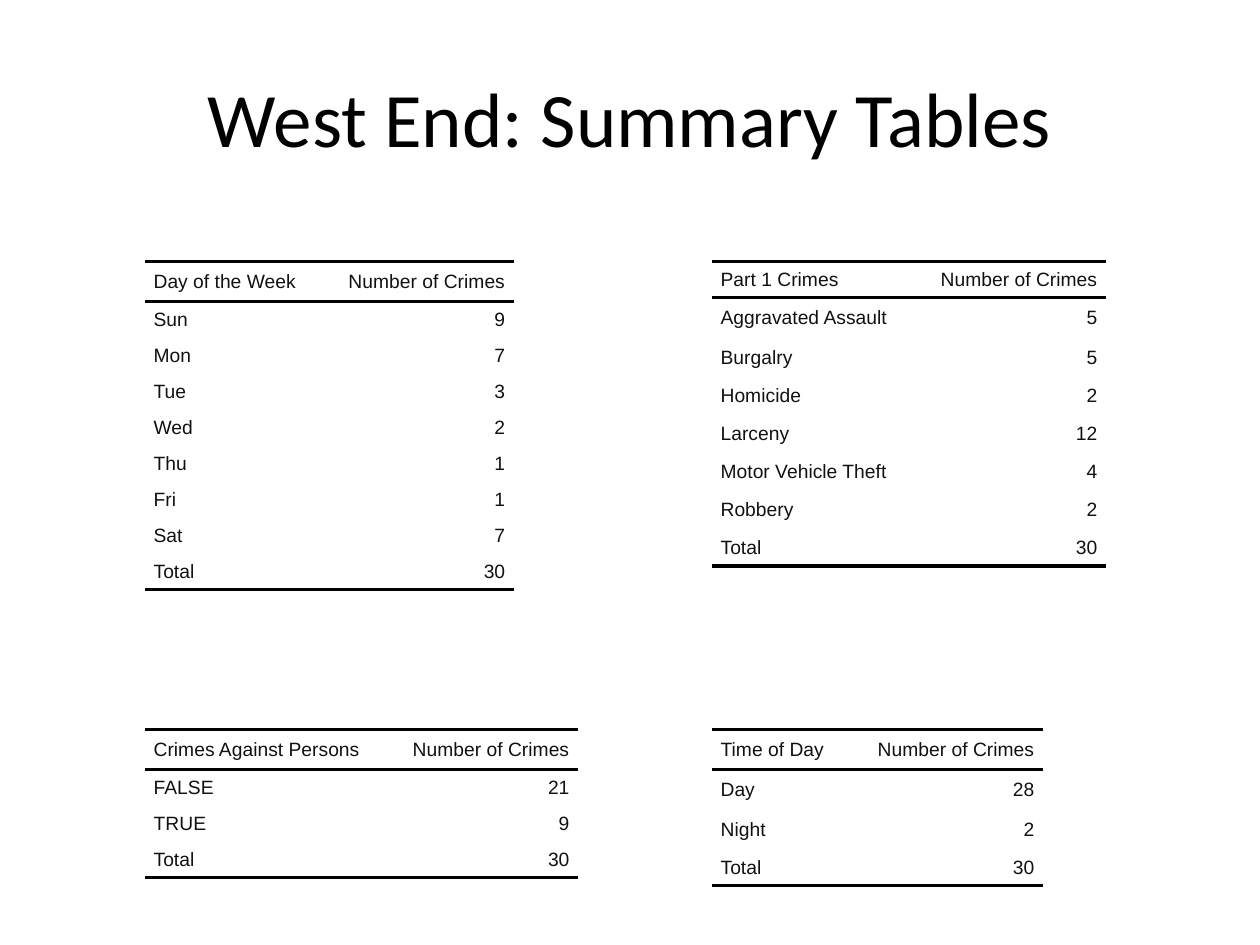
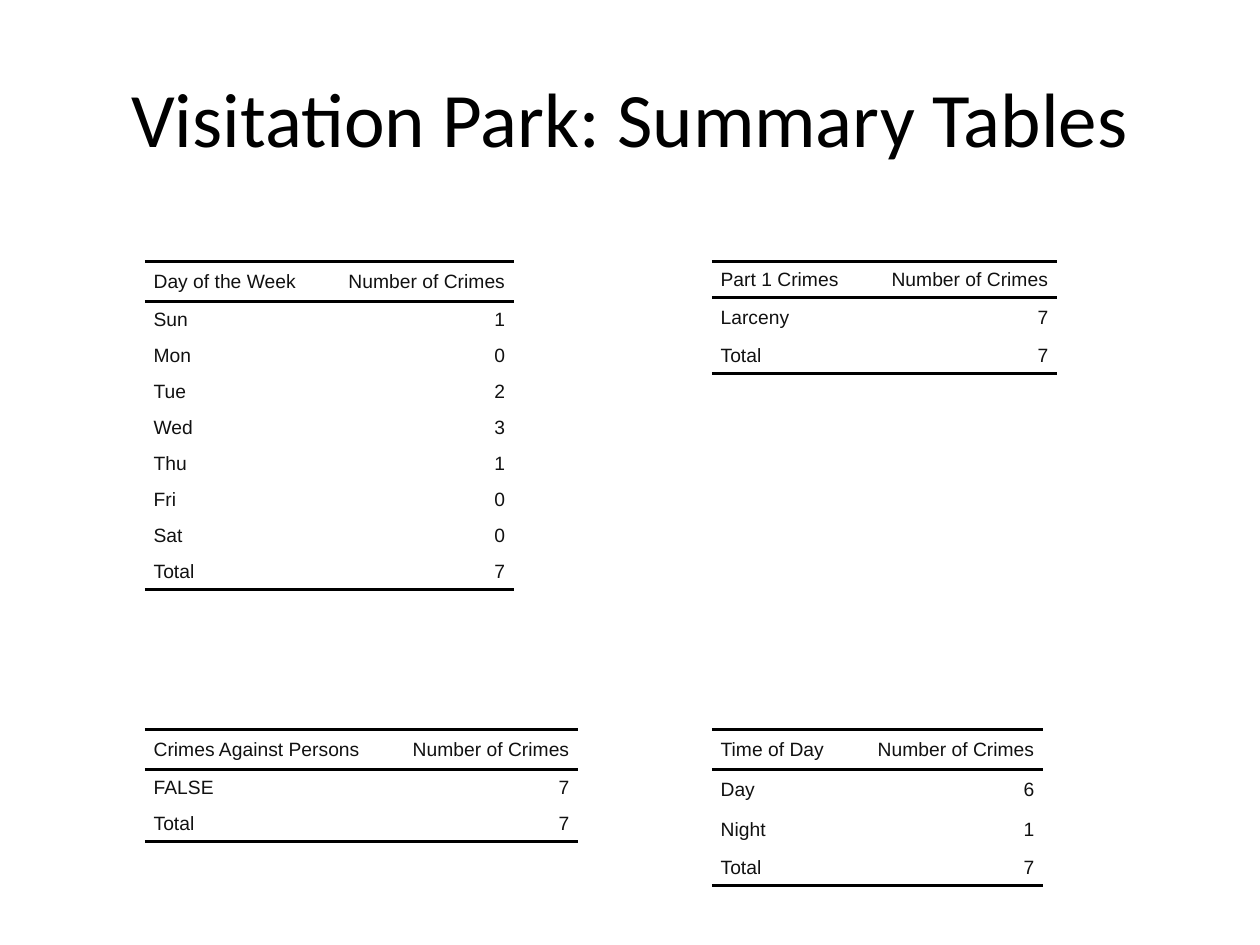
from lxml import etree
from pptx import Presentation
from pptx.dml.color import RGBColor
from pptx.enum.text import MSO_ANCHOR, PP_ALIGN
from pptx.oxml.ns import qn
from pptx.util import Pt

MIDDLE = MSO_ANCHOR.MIDDLE
LEFT, CENTER, RIGHT = PP_ALIGN.LEFT, PP_ALIGN.CENTER, PP_ALIGN.RIGHT

BLACK, CELL_TEXT = "000000", "111111"
TITLE_FONT, TABLE_FONT = "Calibri", "Arial"
PLAIN_STYLE = "{2D5ABB26-0587-4C30-8999-92F81FD0307C}"  # no style, no grid

TITLE_BOX = (36, 21.6, 648, 90)
TABLE_SIZE = (288, 216)
LEFT_X, RIGHT_X = 82.8, 406.8
UPPER_Y, LOWER_Y = 149.6, 416.9
SHORT_ROW, TALL_ROW = 20.6, 22.9
COUNT_WIDTH = 109.4
CELL_INDENT = 5

# heading: left, top, indexes of the tall rows
TABLE_LAYOUT = {
    "Part 1 Crimes": (RIGHT_X, UPPER_Y, {1, 2, 4, 6}),
    "Day of the Week": (LEFT_X, UPPER_Y, {0}),
    "Crimes Against Persons": (LEFT_X, LOWER_Y, {0}),
    "Time of Day": (RIGHT_X, LOWER_Y, {0, 1, 2}),
}

DAYS = ("Sun", "Mon", "Tue", "Wed", "Thu", "Fri", "Sat")

# area: heading -> (label column width, counts by label)
AREAS = {
    "West End": {
        "Part 1 Crimes": (115.9, {
            "Aggravated Assault": 5, "Burgalry": 5, "Homicide": 2,
            "Larceny": 12, "Motor Vehicle Theft": 4, "Robbery": 2}),
        "Day of the Week": (101.5, dict(zip(DAYS, (9, 7, 3, 2, 1, 1, 7)))),
        "Crimes Against Persons": (138.2, {"FALSE": 21, "TRUE": 9}),
        "Time of Day": (79.9, {"Day": 28, "Night": 2}),
    },
    "Visitation Park": {
        "Part 1 Crimes": (87.8, {"Larceny": 7}),
        "Day of the Week": (101.5, dict(zip(DAYS, (1, 0, 2, 3, 1, 0, 0)))),
        "Crimes Against Persons": (138.2, {"FALSE": 7}),
        "Time of Day": (79.9, {"Day": 6, "Night": 1}),
    },
}


def color(value):
    return RGBColor.from_string(value)


def style_font(font, name, size, value):
    font.name, font.size = name, Pt(size)
    font.color.rgb = color(value)


def add_title(page, box, text):
    frame = page.shapes.add_textbox(*map(Pt, box)).text_frame
    frame.word_wrap = True
    frame.vertical_anchor = MIDDLE
    frame.text = text
    para = frame.paragraphs[0]
    para.alignment = CENTER
    style_font(para.runs[0].font, TITLE_FONT, 44, BLACK)


def add_rule(cell, side):
    """Draw a 2 pt line on one side of a cell: lnT or lnB."""
    line = etree.SubElement(cell._tc.get_or_add_tcPr(), qn(f"a:{side}"), w=str(Pt(2)))
    fill = etree.SubElement(line, qn("a:solidFill"))
    etree.SubElement(fill, qn("a:srgbClr"), val=BLACK)


def fill_cell(cell, text, alignment):
    cell.margin_left = cell.margin_right = cell.margin_top = cell.margin_bottom = 0
    cell.vertical_anchor = MIDDLE
    cell.text = text
    para = cell.text_frame.paragraphs[0]
    para.alignment = alignment
    para.space_before = para.space_after = Pt(2)
    properties = para._p.get_or_add_pPr()
    for side in ("marL", "marR"):
        properties.set(side, str(Pt(CELL_INDENT)))
    style_font(para.runs[0].font, TABLE_FONT, 11, CELL_TEXT)


def add_count_table(page, box, heading, label_width, counts, tall_rows):
    """Add a table of counts with a ruled heading and a total at the foot."""
    entries = [(heading, "Number of Crimes"), *counts.items(),
               ("Total", sum(counts.values()))]
    last = len(entries) - 1
    holder = page.shapes.add_table(len(entries), 2, *map(Pt, box))
    table = holder.table
    table.first_row = table.horz_banding = False
    table._tbl.tblPr.find(qn("a:tableStyleId")).text = PLAIN_STYLE
    for column, width in zip(table.columns, (label_width, COUNT_WIDTH)):
        column.width = Pt(width)
    for index, entry in enumerate(entries):
        is_tall = index in tall_rows and index != last
        table.rows[index].height = Pt(TALL_ROW if is_tall else SHORT_ROW)
        for cell, value, alignment in zip(table.rows[index].cells, entry, (LEFT, RIGHT)):
            fill_cell(cell, str(value), alignment)
            if index == 0:
                add_rule(cell, "lnT")
            if index in (0, last):
                add_rule(cell, "lnB")
            cell.fill.background()
    holder.width, holder.height = map(Pt, box[2:])


def add_summary_page(deck, area, tables):
    page = deck.slides.add_slide(deck.slide_layouts[6])
    add_title(page, TITLE_BOX, f"{area}: Summary Tables")
    for heading, (label_width, counts) in tables.items():
        left, top, tall_rows = TABLE_LAYOUT[heading]
        add_count_table(page, (left, top, *TABLE_SIZE), heading,
                        label_width, counts, tall_rows)


def main():
    deck = Presentation()
    deck.slide_width, deck.slide_height = Pt(720), Pt(540)
    for area, tables in AREAS.items():
        add_summary_page(deck, area, tables)
    deck.save("out.pptx")


if __name__ == "__main__":
    main()
